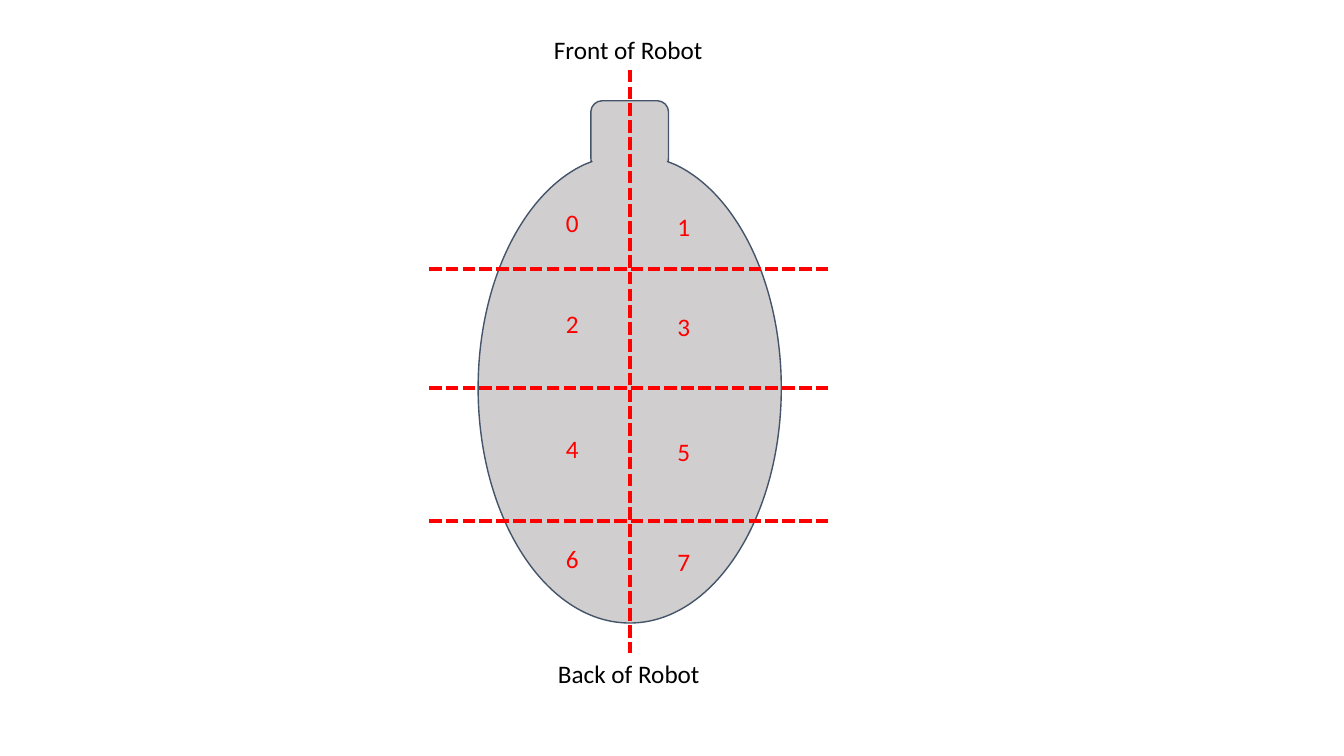
import pptx
import pptx.dml.color
import pptx.enum.dml
import pptx.enum.shapes
import pptx.enum.text
import pptx.oxml.ns
import pptx.util
from lxml import etree

Cm = pptx.util.Cm
qn = pptx.oxml.ns.qn
RED = "FF0000"
AXIS_X, BODY_Y = 15.87, 9.78

# Right half of the robot, offsets from the long axis in centimetres:
# two points make a straight side, four points a Bézier curve
RIGHT_HALF = [
    [(0.7, 2.54), (0.85, 2.54), (0.98, 2.67), (0.98, 2.82)],
    [(0.98, 2.82), (0.98, 3.96)],
    [(0.98, 3.96), (0.98, 4), (0.98, 4.03), (0.97, 4.07)],
    [(0.97, 4.07), (0.95, 4.07)],
    [(0.95, 4.07), (1.15, 4.15)],
    [(1.15, 4.15), (2.7, 4.88), (3.82, 7.14), (3.82, BODY_Y)],
    [(3.82, BODY_Y), (3.82, 13.05), (2.11, 15.7), (0, 15.7)],
]


def color(hex_code):
    return pptx.dml.color.RGBColor.from_string(hex_code)


def add_robot_body(slide):
    left_half = [[(-x, y) for x, y in reversed(side)] for side in reversed(RIGHT_HALF)]
    outline = [[(Cm(AXIS_X + x), Cm(y)) for x, y in side]
               for side in RIGHT_HALF + left_half]

    builder = slide.shapes.build_freeform(*outline[0][0])
    builder.add_line_segments([side[-1] for side in outline], close=True)
    body = builder.convert_to_shape()
    body.shadow.inherit = False
    body.fill.solid()
    body.fill.fore_color.rgb = color("D0CECE")
    body.line.color.rgb = color("44546A")
    body.line.width = pptx.util.Pt(1)

    # Bend the curved sides
    straight_sides = list(body._element.iter(qn("a:lnTo")))
    for segment, side in zip(straight_sides, outline):
        if len(side) == 4:
            segment.tag = qn("a:cubicBezTo")
            for i, (x, y) in enumerate(side[1:3]):
                control = etree.Element(
                    qn("a:pt"), x=str(x - body.left), y=str(y - body.top))
                segment.insert(i, control)


def add_divider(slide, x1, y1, x2, y2):
    divider = slide.shapes.add_connector(
        pptx.enum.shapes.MSO_CONNECTOR.STRAIGHT, Cm(x1), Cm(y1), Cm(x2), Cm(y2))
    divider.line.color.rgb = color(RED)
    divider.line.width = pptx.util.Pt(3)
    divider.line.dash_style = pptx.enum.dml.MSO_LINE.SQUARE_DOT
    etree.SubElement(divider._element.spPr, qn("a:effectLst"))


def add_label(slide, text, left, top, width, hex_code):
    label = slide.shapes.add_textbox(Cm(left), Cm(top), Cm(width), Cm(1.02))
    frame = label.text_frame
    frame.text = text
    frame.word_wrap = False
    frame.auto_size = pptx.enum.text.MSO_AUTO_SIZE.SHAPE_TO_FIT_TEXT
    font = frame.paragraphs[0].runs[0].font
    font.name = "Calibri"
    font.size = pptx.util.Pt(18)
    font.color.rgb = color(hex_code)


def main():
    deck = pptx.Presentation()
    deck.slide_width, deck.slide_height = Cm(33.87), Cm(19.05)
    slide = deck.slides.add_slide(deck.slide_layouts[6])

    add_robot_body(slide)

    # Front and back captions
    add_label(slide, "Front of Robot", 13.71, 0.74, 4.29, "000000")
    add_label(slide, "Back of Robot", 13.81, 16.46, 4.11, "000000")

    # Long axis and cross dividers
    add_divider(slide, AXIS_X, 1.76, AXIS_X, 16.46)
    for y in (6.78, BODY_Y, 13.13):
        add_divider(slide, AXIS_X - 5.06, y, AXIS_X + 5.07, y)

    # Zone numbers, two per row
    for row, top in enumerate((5.11, 7.65, 10.8, 13.56)):
        add_label(slide, str(2 * row), 14.01, top, 0.84, RED)
        add_label(slide, str(2 * row + 1), 16.82, top + 0.08, 0.84, RED)

    deck.save("out.pptx")


if __name__ == "__main__":
    main()
